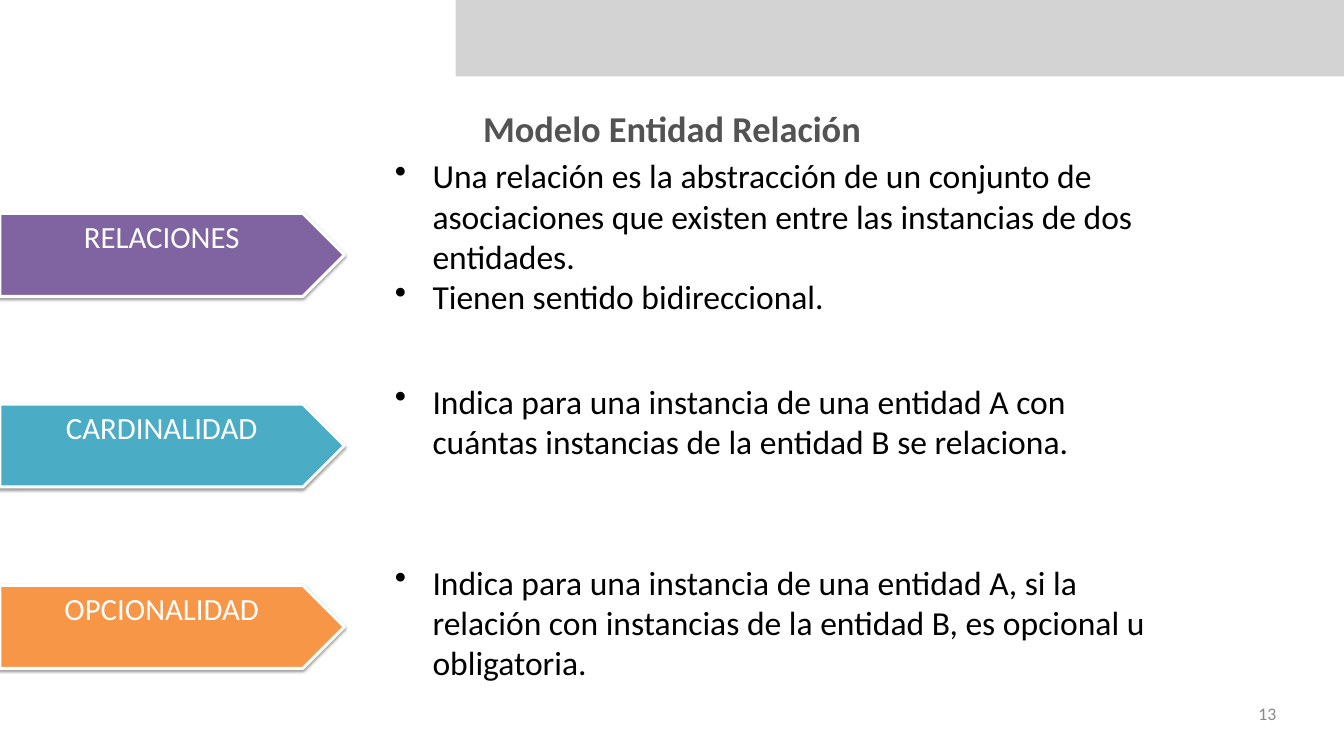
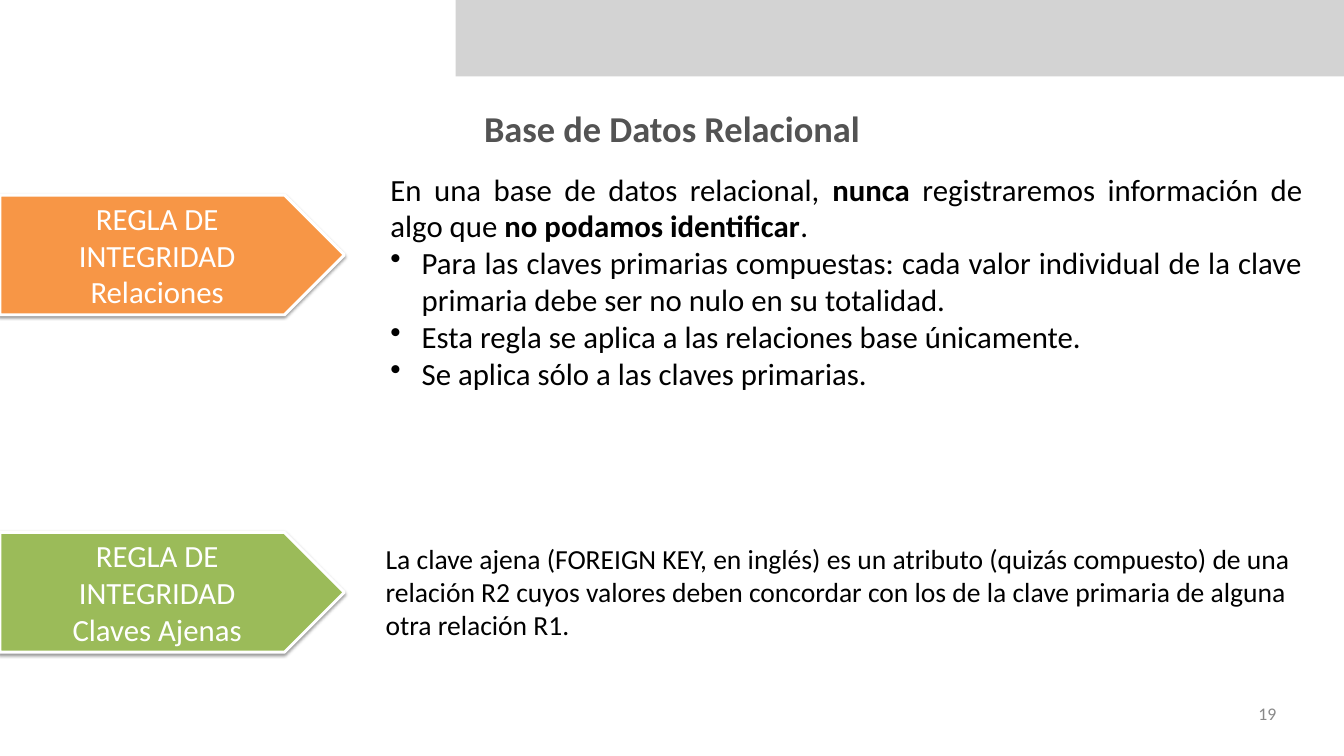
from lxml.etree import SubElement as Sub
from pptx import Presentation
from pptx.dml.color import RGBColor as RGB
from pptx.enum.shapes import MSO_SHAPE as Kind
from pptx.enum.text import MSO_ANCHOR as Anchor, PP_ALIGN as Align
from pptx.oxml.ns import qn
from pptx.util import Cm, Pt

FONT = "Calibri"
WHITE, BLACK, BAND, TITLE, GREY = "FFFFFF", "000000", "D3D3D3", "535353", "898989"
PURPLE, TEAL, ORANGE, GREEN = "8064A2", "4BACC6", "F79646", "9BBB59"
WIDE, HIGH = 48.16, 27.09

SLIDES = [
    {
        "title": "Modelo Entidad Relación",
        "page": "13",
        "tags": [
            (7.65, 2.97, PURPLE, ["RELACIONES"]),
            (14.48, 2.97, TEAL, ["CARDINALIDAD"]),
            (20.98, 2.97, ORANGE, ["OPCIONALIDAD"]),
        ],
        "texts": [
            ((14.15, 5.56, 27.81, 5.84), 34.1, Align.LEFT, 1.35, [
                "•Una relación es la abstracción de un conjunto de asociaciones que existen entre las instancias de dos entidades.",
                "•Tienen sentido bidireccional.",
            ]),
            ((14.15, 13.64, 27.81, 2.92), 34.1, Align.LEFT, 1.35, [
                "•Indica para una instancia de una entidad A con cuántas instancias de la entidad B se relaciona.",
            ]),
            ((14.15, 20.12, 27.81, 4.37), 34.1, Align.LEFT, 1.35, [
                "•Indica para una instancia de una entidad A, si la relación con instancias de la entidad B, es opcional u obligatoria.",
            ]),
        ],
    },
    {
        "title": "Base de Datos Relacional",
        "page": "19",
        "tags": [
            (6.99, 4.29, ORANGE, ["REGLA DE", "INTEGRIDAD", "Relaciones"]),
            (19.08, 4.29, GREEN, ["REGLA DE", "INTEGRIDAD", "Claves Ajenas"]),
        ],
        "texts": [
            ((13.99, 6.1, 32.69, 8.03), 31.3, Align.JUSTIFY, 1.12, [
                "En una base de datos relacional, *nunca* registraremos información de algo que *no podamos identificar*.",
                "•Para las claves primarias compuestas: cada valor individual de la clave primaria debe ser no nulo en su totalidad.",
                "•Esta regla se aplica a las relaciones base únicamente.",
                "•Se aplica sólo a las claves primarias.",
            ]),
            ((13.82, 19.43, 32.69, 3.59), 28, Align.LEFT, 0, [
                "La clave ajena (FOREIGN KEY, en inglés) es un atributo (quizás compuesto) de una relación R2 cuyos valores deben concordar con los de la clave primaria de alguna otra relación R1.",
            ]),
        ],
    },
]


def paint(fill, color):
    fill.solid()
    fill.fore_color.rgb = RGB.from_string(color)


def write(shape, lines, size, color, align, pad=0, indent=0, bold=False):
    frame = shape.text_frame
    frame.word_wrap = True
    frame.vertical_anchor = Anchor.TOP
    frame.margin_left = frame.margin_right = Cm(pad)
    frame.margin_top = frame.margin_bottom = Cm(pad)
    for i, line in enumerate(lines):
        para = frame.paragraphs[0] if i == 0 else frame.add_paragraph()
        para.alignment = align
        para.font.name = FONT
        para.font.size = Pt(size)
        para.font.bold = bold
        paint(para.font.fill, color)
        if line.startswith("•"):
            props = para._p.get_or_add_pPr()
            props.set("marL", str(Cm(indent)))
            props.set("indent", str(-Cm(indent)))
            mark = props.makeelement(qn("a:buChar"), {"char": "•"})
            props.insert_element_before(mark, "a:tabLst", "a:defRPr", "a:extLst")
        for j, part in enumerate(line.lstrip("•").split("*")):
            run = para.add_run()
            run.text = part
            if j % 2:
                run.font.bold = True


deck = Presentation()
deck.slide_width, deck.slide_height = Cm(WIDE), Cm(HIGH)

for page in SLIDES:
    slide = deck.slides.add_slide(deck.slide_layouts[6])
    shapes = slide.shapes

    band = shapes.add_shape(Kind.RECTANGLE, Cm(16.33), 0, Cm(WIDE - 16.33), Cm(2.74))
    band.shadow.inherit = False
    paint(band.fill, BAND)
    band.line.fill.background()

    title = shapes.add_textbox(Cm(9.55), Cm(3.66), Cm(29.06), Cm(1.85))
    write(title, [page["title"]], 37, TITLE, Align.CENTER, pad=0.15, bold=True)

    for top, high, color, lines in page["tags"]:
        tag = shapes.add_shape(Kind.PENTAGON, 0, Cm(top), Cm(12.34), Cm(high))
        paint(tag.fill, color)
        paint(tag.line.fill, WHITE)
        tag.line.width = Pt(3)
        tag.shadow.inherit = False
        effects = tag._element.spPr.find(qn("a:effectLst"))
        shade = Sub(effects, qn("a:outerShdw"), blurRad=str(Pt(3.1)),
                    dist=str(Pt(1.6)), dir="5400000", rotWithShape="0")
        tint = Sub(shade, qn("a:srgbClr"), val=BLACK)
        Sub(tint, qn("a:alpha"), val="38000")
        write(tag, lines, 31.3, WHITE, Align.CENTER, pad=0.15)

    for place, size, align, indent, lines in page["texts"]:
        body = shapes.add_textbox(*map(Cm, place))
        write(body, lines, size, BLACK, align, indent=indent)

    number = shapes.add_textbox(Cm(34.67), Cm(25.2), Cm(11.07), Cm(0.76))
    write(number, [page["page"]], 18, GREY, Align.RIGHT)

deck.save("out.pptx")
